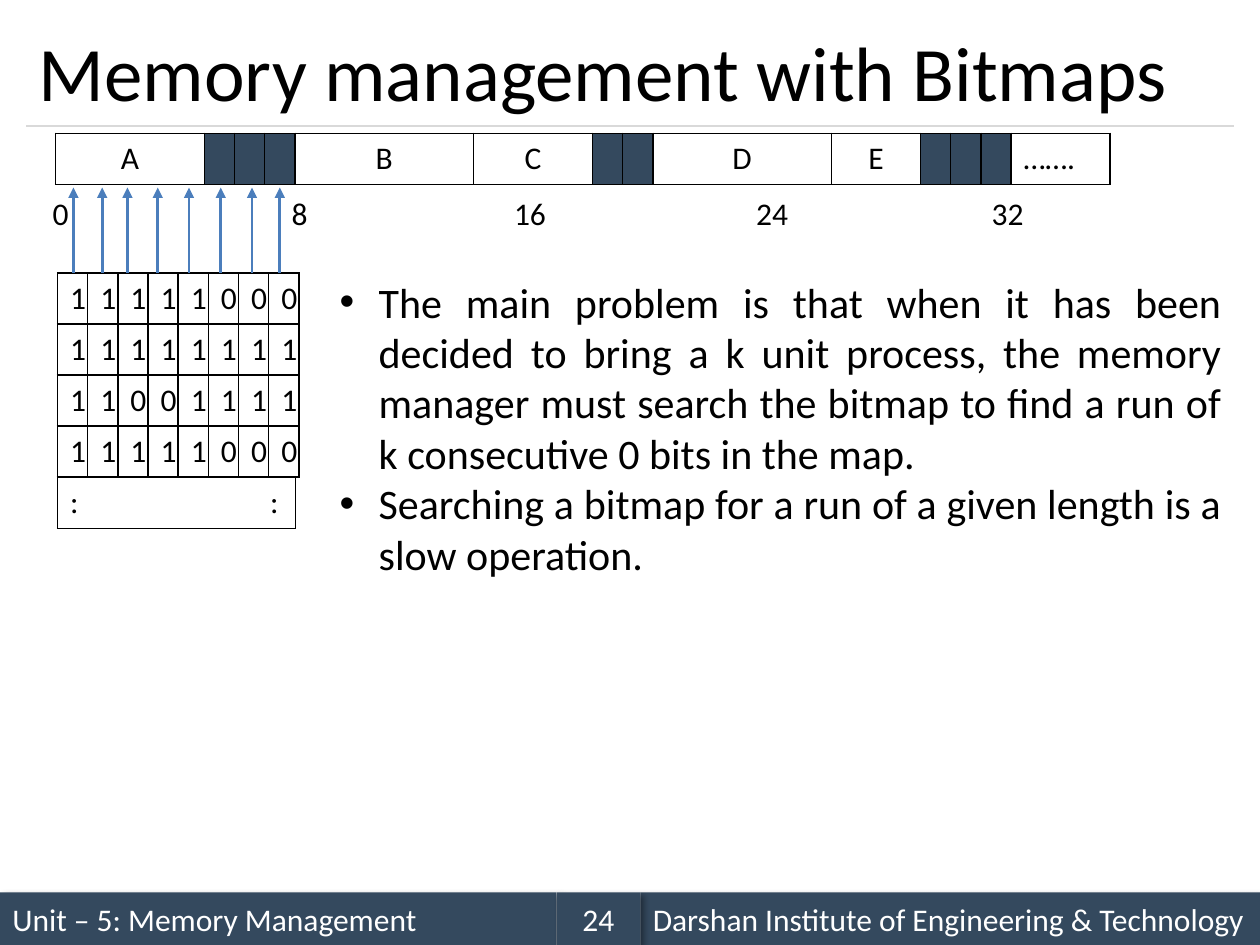
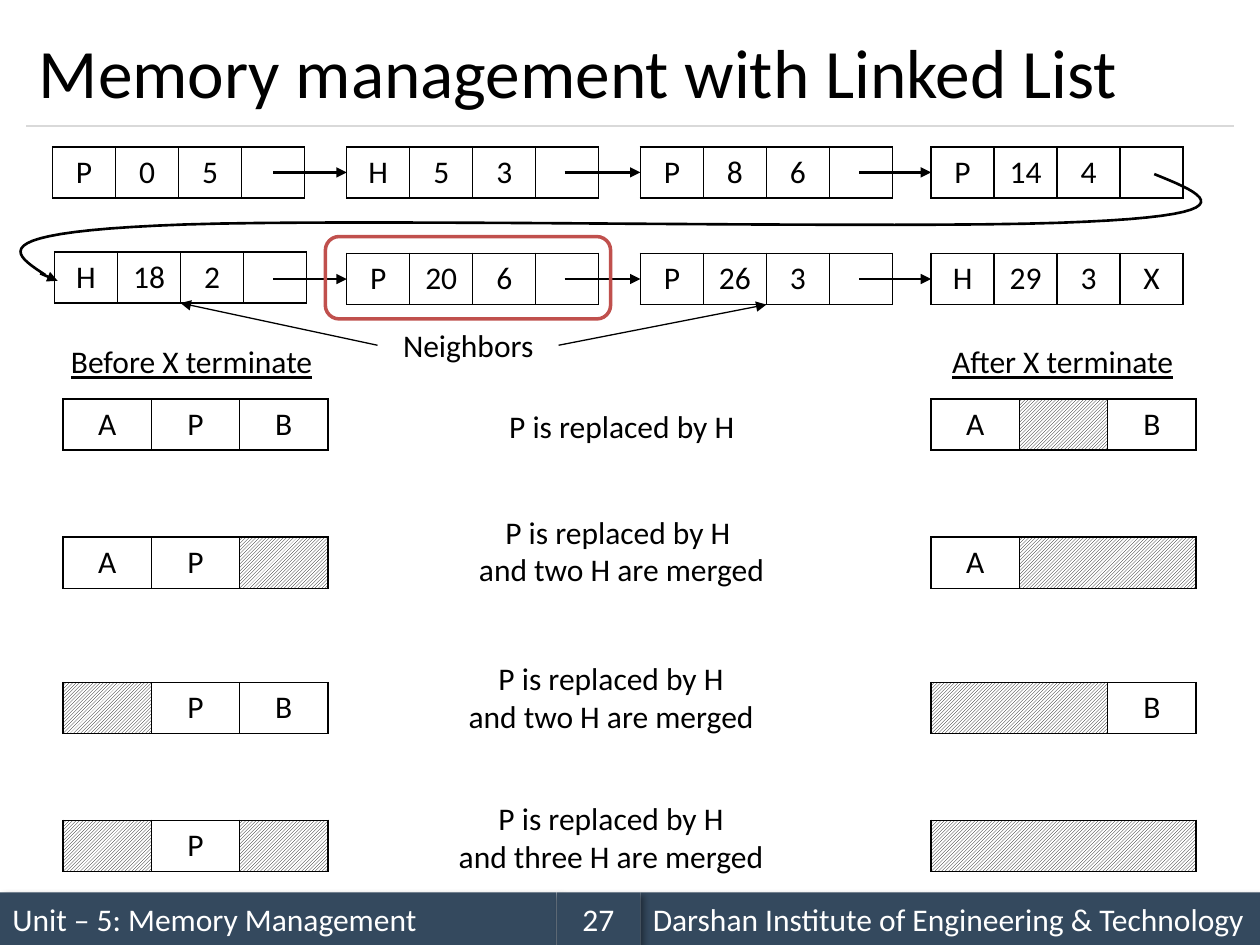
from lxml.etree import SubElement
from pptx import Presentation
from pptx.dml.color import RGBColor
from pptx.enum.dml import MSO_PATTERN
from pptx.enum.shapes import MSO_CONNECTOR, MSO_SHAPE
from pptx.enum.text import MSO_ANCHOR, MSO_AUTO_SIZE, PP_ALIGN
from pptx.oxml.ns import qn
from pptx.util import Cm, Pt

FONT = "Calibri"
BLACK, WHITE, NAVY = "000000", "FFFFFF", "34495E"
RULE_GREY, ARROW_BLUE, FRAME_RED = "D9D9D9", "4B7EBC", "C0504D"
TITLE_ONLY, TITLE_AND_BODY = 5, 1
HOLE, FREE = "<hole>", "<free>"  # cells shown by a fill instead of text

# All positions and lengths are in centimetres.
ROW_HEIGHT = 1.03
FOOTER_TOP, FOOTER_HEIGHT = 17.99, 1.06
UNIT = "Unit – 5: Memory Management"
INSTITUTE = "Darshan Institute of Engineering & Technology"

# Bitmap slide: memory as (content, allocation units), and the map of bits
BIT = 0.6
MEMORY = [("A", 5), (FREE, 1), (FREE, 1), (FREE, 1), ("B", 6), ("C", 4),
          (FREE, 1), (FREE, 1), ("D", 6), ("E", 3),
          (FREE, 1), (FREE, 1), (FREE, 1), ("…….", 10 / 3)]
BITMAP = ["11111000", "11111111", "11001111", "11111000"]
BITMAP_LEFT, BITMAP_TOP = 1.16, 5.5
BIT_ARROWS = [1.48, 2.06, 2.57, 3.18, 3.81, 4.45, 5.08, 5.64]
OFFSETS = [("0", 0.81, 0.71), ("8", 5.63, 0.71), ("16", 10.09, 1.19),
           ("24", 14.97, 1.19), ("32", 19.72, 1.19)]
PROBLEMS = [
    "The main problem is that when it has been decided to bring a k unit process, "
    "the memory manager must search the bitmap to find a run of k consecutive 0 bits "
    "in the map.",
    "Searching a bitmap for a run of a given length is a slow operation.",
]

# Linked list slide: nodes as (left, top, cells)
NODE_CELL = 1.27
NODE_ROWS = [
    [(1.06, 2.96, ["P", "0", "5", ""]), (6.99, 2.96, ["H", "5", "3", ""]),
     (12.91, 2.96, ["P", "8", "6", ""]), (18.77, 2.96, ["P", "14", "4", ""])],
    [(1.1, 5.08, ["H", "18", "2", ""]), (6.99, 5.11, ["P", "20", "6", ""]),
     (12.91, 5.11, ["P", "26", "3", ""]), (18.77, 5.11, ["H", "29", "3", "X"])],
]
LINK_STARTS = [5.51, 11.38, 17.32]
WRAP_START = (23.27, 3.51)
WRAP_CURVES = [((24.26, 3.91), (25.25, 4.32), (21.89, 4.47)),
               ((18.54, 4.65), (6.63, 4.37), (3.15, 4.55)),
               ((-0.36, 4.72), (0.28, 5.13), (0.91, 5.54))]
BLOCK, BEFORE_LEFT, AFTER_LEFT = 1.78, 1.27, 18.77
CASES = [  # top, cells before, cells after
    (8.04, [("A", 1), ("P", 1), ("B", 1)], [("A", 1), (HOLE, 1), ("B", 1)]),
    (10.83, [("A", 1), ("P", 1), (HOLE, 1)], [("A", 1), (HOLE, 2)]),
    (13.76, [(HOLE, 1), ("P", 1), ("B", 1)], [(HOLE, 2), ("B", 1)]),
    (16.54, [(HOLE, 1), ("P", 1), (HOLE, 1)], [(HOLE, 3)]),
]
NOTES = [  # left, top, width, height, text
    (9.83, 8.08, 5.41, 1.03, "P is replaced by H"),
    (9.1, 10.21, 6.86, 1.8, "P is replaced by H \nand two H are merged"),
    (8.89, 13.17, 6.86, 1.8, "P is replaced by H\nand two H are merged"),
    (8.89, 15.98, 6.86, 1.8, "P is replaced by H\nand three H are merged"),
]
HEADINGS = [(1.16, "Before X terminate"), (18.72, "After X terminate")]


def rgb(color):
    return RGBColor.from_string(color)


def place(shape, left, top, width, height):
    shape.left, shape.top, shape.width, shape.height = map(Cm, (left, top, width, height))


def style_text(frame, size=18, color=BLACK, align=PP_ALIGN.CENTER, underline=None):
    for para in frame.paragraphs:
        para.alignment = align
        for span in para.runs:
            span.font.size, span.font.name = Pt(size), FONT
            span.font.color.rgb = rgb(color)
            span.font.underline = underline


def add_label(page, text, left, top, width, height=ROW_HEIGHT, **style):
    box = page.shapes.add_textbox(Cm(left), Cm(top), Cm(width), Cm(height))
    box.text_frame.word_wrap = True
    box.text_frame.text = text
    style_text(box.text_frame, **style)


def add_line(page, start, end, color=BLACK, weight=1.5, arrow=True):
    line = page.shapes.add_connector(MSO_CONNECTOR.STRAIGHT, *map(Cm, start + end))
    line.line.color.rgb = rgb(color)
    line.line.width = Pt(weight)
    properties = line._element.spPr
    if arrow:
        SubElement(properties.find(qn("a:ln")), qn("a:tailEnd"), type="triangle")
    SubElement(properties, qn("a:effectLst"))


def add_borders(cell):
    properties = cell._tc.get_or_add_tcPr()
    for side in ("lnL", "lnR", "lnT", "lnB"):
        border = SubElement(properties, qn(f"a:{side}"), w=str(Pt(1)))
        SubElement(SubElement(border, qn("a:solidFill")), qn("a:srgbClr"), val=BLACK)


def fill_cell(cell, content):
    if content == FREE:
        cell.fill.solid()
        cell.fill.fore_color.rgb = rgb(NAVY)
    elif content == HOLE:
        cell.fill.patterned()
        cell.fill.pattern = MSO_PATTERN.LIGHT_UPWARD_DIAGONAL
        cell.fill.fore_color.rgb, cell.fill.back_color.rgb = rgb(BLACK), rgb(WHITE)
    else:
        cell.fill.background()
        cell.text_frame.text = content
        style_text(cell.text_frame)


def add_grid(page, left, top, widths, rows):
    frame = page.shapes.add_table(len(rows), len(widths), Cm(left), Cm(top),
                                  Cm(sum(widths)), Cm(ROW_HEIGHT * len(rows)))
    table = frame.table
    table.first_row = table.horz_banding = False
    for column, width in zip(table.columns, widths):
        column.width = Cm(width)
    for row, contents in zip(table.rows, rows):
        row.height = Cm(ROW_HEIGHT)
        for cell, content in zip(row.cells, contents):
            add_borders(cell)
            fill_cell(cell, content)
    return table


def add_blocks(page, left, top, blocks, unit):
    """Draw one row of (content, units) cells."""
    contents, units = zip(*blocks)
    return add_grid(page, left, top, [unit * count for count in units], [contents])


def add_footer_band(page, left, width, text, align=PP_ALIGN.LEFT):
    band = page.shapes.add_shape(MSO_SHAPE.RECTANGLE, Cm(left), Cm(FOOTER_TOP),
                                 Cm(width), Cm(FOOTER_HEIGHT))
    band.fill.solid()
    band.fill.fore_color.rgb = rgb(NAVY)
    band.line.fill.background()
    band.shadow.inherit = False
    effects = band._element.spPr.find(qn("a:effectLst"))
    shadow = SubElement(effects, qn("a:outerShdw"), blurRad=str(Pt(4)), dist=str(Pt(3)),
                        dir="2700000", algn="tl", rotWithShape="0")
    shade = SubElement(shadow, qn("a:srgbClr"), val=BLACK)
    SubElement(shade, qn("a:alpha"), val="40000")
    band.text_frame.text = text
    band.text_frame.vertical_anchor = MSO_ANCHOR.MIDDLE
    style_text(band.text_frame, color=WHITE, align=align)


def add_page(deck, layout, title, number, title_size):
    page = deck.slides.add_slide(deck.slide_layouts[layout])
    add_footer_band(page, 0, 11.22, UNIT)
    add_line(page, (0.53, 2.54), (24.87, 2.54), RULE_GREY, 0.75, arrow=False)
    add_footer_band(page, 12.91, 12.49, INSTITUTE)
    add_footer_band(page, 11.22, 1.69, number, PP_ALIGN.CENTER)
    heading = page.shapes.title
    place(heading, 0.53, 0.3, 24.34, 2.24)
    heading.text_frame.text = title
    heading.text_frame.auto_size = MSO_AUTO_SIZE.NONE
    heading.text_frame.vertical_anchor = MSO_ANCHOR.MIDDLE
    style_text(heading.text_frame, title_size, align=PP_ALIGN.LEFT)
    return page


def add_bullets(page, items):
    body = page.placeholders[1]
    place(body, 6.59, 5.44, 18.29, 6.4)
    frame = body.text_frame
    frame.text = "\n".join(items)
    frame.auto_size = MSO_AUTO_SIZE.NONE
    frame.vertical_anchor = MSO_ANCHOR.TOP
    for para in frame.paragraphs:
        properties = para._p.get_or_add_pPr()
        properties.set("marL", str(Cm(0.79)))
        properties.set("indent", str(Cm(-0.79)))
        SubElement(properties, qn("a:buChar"), char="•")
        para.space_before = Pt(0)
    style_text(frame, 24, align=PP_ALIGN.JUSTIFY)


def add_bitmap(page):
    """Draw the bits, a frame around each later row, and a closing row of two colons."""
    add_grid(page, BITMAP_LEFT, BITMAP_TOP, [BIT] * 8, BITMAP)
    tops = [BITMAP_TOP + ROW_HEIGHT * index for index in range(1, len(BITMAP) + 1)]
    for top in tops[:-1]:
        add_grid(page, BITMAP_LEFT, top, [BIT] * 8, [[""] * 8])
    cell = add_grid(page, BITMAP_LEFT, tops[-1], [8 * BIT], [[":\t:"]]).cell(0, 0)
    properties = cell.text_frame.paragraphs[0]._p.get_or_add_pPr()
    stops = SubElement(properties, qn("a:tabLst"))
    SubElement(stops, qn("a:tab"), pos=str(Cm(4.03)), algn="l")
    style_text(cell.text_frame, align=PP_ALIGN.LEFT)


def bezier(start, control, pull, end, steps=20):
    """Points along a cubic curve, without its start."""
    for step in range(1, steps + 1):
        t = step / steps
        weights = ((1 - t) ** 3, 3 * t * (1 - t) ** 2, 3 * t ** 2 * (1 - t), t ** 3)
        yield tuple(Cm(sum(w * v for w, v in zip(weights, values)))
                    for values in zip(start, control, pull, end))


def add_wrap_curve(page):
    points, start = [], WRAP_START
    for curve in WRAP_CURVES:
        points += bezier(start, *curve)
        start = curve[-1]
    builder = page.shapes.build_freeform(*map(Cm, WRAP_START))
    builder.add_line_segments(points, close=False)
    path = builder.convert_to_shape()
    path.fill.background()
    path.line.color.rgb = rgb(BLACK)
    path.line.width = Pt(1.5)
    path.shadow.inherit = False


def add_highlight(page):
    frame = page.shapes.add_shape(MSO_SHAPE.ROUNDED_RECTANGLE,
                                  Cm(6.56), Cm(4.77), Cm(5.75), Cm(1.66))
    frame.fill.background()
    frame.line.color.rgb = rgb(FRAME_RED)
    frame.line.width = Pt(2)
    frame.shadow.inherit = False


def build_bitmap_page(deck):
    page = add_page(deck, TITLE_AND_BODY, "Memory management with Bitmaps", "24", 44)
    add_bitmap(page)
    for x in BIT_ARROWS:
        add_line(page, (x, BITMAP_TOP), (x, 3.78), ARROW_BLUE)
    for text, left, width in OFFSETS:
        add_label(page, text, left, 3.78, width)
    memory = add_blocks(page, 1.12, 2.69, MEMORY, BIT)
    style_text(memory.cell(0, len(MEMORY) - 1).text_frame, align=PP_ALIGN.LEFT)
    add_bullets(page, PROBLEMS)


def build_linked_list_page(deck):
    page = add_page(deck, TITLE_ONLY, "Memory management with Linked List", "27", 39.6)
    for nodes in NODE_ROWS:
        for left, top, cells in nodes:
            add_grid(page, left, top, [NODE_CELL] * 4, [cells])
        for start, (end, top, _) in zip(LINK_STARTS, nodes[1:]):
            middle = top + ROW_HEIGHT / 2
            add_line(page, (start, middle), (end, middle))
    add_wrap_curve(page)
    add_line(page, (0.81, 5.51), (1.16, 5.66))
    add_label(page, "Neighbors", 7.61, 6.44, 3.66)
    add_line(page, (7.61, 6.96), (3.64, 6.11), weight=0.75)
    add_line(page, (11.26, 6.96), (15.45, 6.14), weight=0.75)
    add_highlight(page)
    for top, before, after in CASES:
        add_blocks(page, BEFORE_LEFT, top, before, BLOCK)
        add_blocks(page, AFTER_LEFT, top, after, BLOCK)
    for left, text in HEADINGS:
        add_label(page, text, left, 6.78, 5.41, underline=True)
    for left, top, width, height, text in NOTES:
        add_label(page, text, left, top, width, height)


def main():
    deck = Presentation()
    deck.slide_width, deck.slide_height = Cm(25.4), Cm(19.05)
    build_bitmap_page(deck)
    build_linked_list_page(deck)
    deck.save("out.pptx")


if __name__ == "__main__":
    main()
